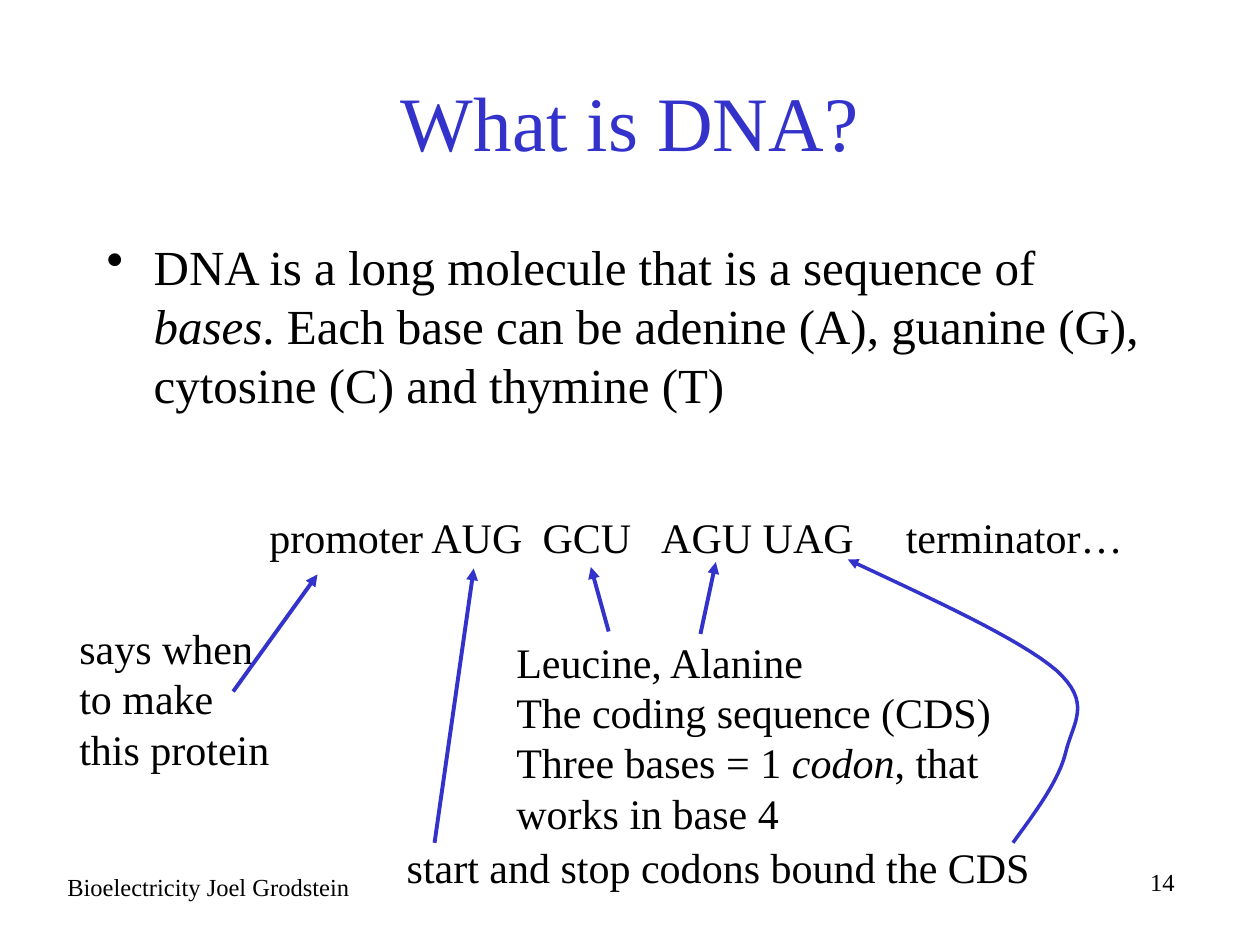
from dataclasses import dataclass

from lxml import etree
from pptx import Presentation
from pptx.dml.color import RGBColor
from pptx.enum.shapes import MSO_CONNECTOR
from pptx.enum.text import MSO_ANCHOR, PP_ALIGN
from pptx.oxml.ns import qn
from pptx.util import Cm, Pt

LEFT, CENTER, RIGHT = PP_ALIGN.LEFT, PP_ALIGN.CENTER, PP_ALIGN.RIGHT
TOP, MIDDLE = MSO_ANCHOR.TOP, MSO_ANCHOR.MIDDLE
STRAIGHT = MSO_CONNECTOR.STRAIGHT


@dataclass(frozen=True)
class Theme:
    font: str = "Times New Roman"
    ink: RGBColor = RGBColor(0, 0, 0)
    accent: RGBColor = RGBColor(0x33, 0x33, 0xCC)
    title: int = 44
    body: int = 28
    label: int = 24
    footer: int = 14


theme = Theme()


def write(shape, *paragraphs, box, size=theme.label, color=theme.ink, align=LEFT, anchor=TOP):
    """Place a text shape and fill it; text between asterisks is italic."""
    shape.left, shape.top, shape.width, shape.height = (Cm(v) for v in box)
    frame = shape.text_frame
    frame.word_wrap = True
    frame.vertical_anchor = anchor
    for i, text in enumerate(paragraphs):
        paragraph = frame.add_paragraph() if i else frame.paragraphs[0]
        paragraph.alignment = align
        for j, part in enumerate(text.split("*")):
            run = paragraph.add_run()
            run.text = part
            run.font.name, run.font.size = theme.font, Pt(size)
            run.font.color.rgb = color
            run.font.italic = j % 2 == 1
    return frame.paragraphs[0]


def style_arrow(arrow, width):
    arrow.line.color.rgb = theme.accent
    arrow.line.width = Pt(width)
    etree.SubElement(arrow.line._get_or_add_ln(), qn("a:tailEnd"), type="triangle")
    etree.SubElement(arrow._element.spPr, qn("a:effectLst"))


prs = Presentation()
prs.slide_width, prs.slide_height = Cm(25.4), Cm(19.05)
slide = prs.slides.add_slide(prs.slide_layouts[5])
shapes = slide.shapes

# Title
write(shapes.title, "What is DNA?", box=(1.9, 0.84, 21.6, 3.18),
      size=theme.title, color=theme.accent, align=CENTER, anchor=MIDDLE)

# Bulleted definition
definition = write(
    shapes.add_textbox(0, 0, 0, 0),
    "DNA is a long molecule that is a sequence of *bases*. Each base can be "
    "adenine (A), guanine (G), cytosine (C) and thymine (T)",
    box=(1.9, 4.65, 21.6, 4.29), size=theme.body)
definition.space_before = Pt(theme.body * 0.2)
definition_format = definition._p.get_or_add_pPr()
definition_format.set("marL", str(Cm(0.95)))
definition_format.set("indent", str(-Cm(0.95)))
etree.SubElement(definition_format, qn("a:buChar"), char="\u2022")

# Gene sequence, spaced with tab stops
sequence = write(shapes.add_textbox(0, 0, 0, 0),
                 "promoter AUG\tGCU\tAGU UAG\tterminator…", box=(5.18, 10.19, 19.56, 1.27))
tab_stops = etree.SubElement(sequence._p.get_or_add_pPr(), qn("a:tabLst"))
for position in (5.51, 7.9, 12.83):
    etree.SubElement(tab_stops, qn("a:tab"), pos=str(Cm(position)), algn="l")

# Explanations and footer
captions = [
    (["says when to make this protein"], (1.35, 12.42, 4.57, 3.33), theme.label, LEFT),
    (["Leucine, Alanine", "The coding sequence (CDS)",
      "Three bases = 1 *codon*, that works in base 4"],
     (10.16, 12.7, 11.38, 4.37), theme.label, LEFT),
    (["start and stop codons bound the CDS"], (7.95, 16.84, 14.48, 1.27), theme.label, LEFT),
    (["Bioelectricity Joel Grodstein"], (0.18, 17.45, 8.05, 1.27), theme.footer, CENTER),
    (["14"], (15.88, 17.35, 8.05, 1.27), theme.footer, RIGHT),
]
for paragraphs, box, size, align in captions:
    write(shapes.add_textbox(0, 0, 0, 0), *paragraphs, box=box, size=size, align=align)

# Straight arrows from explanations to the sequence
pointers = [
    (4.7, 13.94, 6.4, 11.58),    # promoter
    (8.76, 16.99, 9.55, 11.46),  # start codon
    (12.27, 12.73, 11.91, 11.43),
    (14.12, 12.78, 14.43, 11.33),
]
for pointer in pointers:
    style_arrow(shapes.add_connector(STRAIGHT, *(Cm(v) for v in pointer)), 2.25)

# Curved arrow to the stop codon, traced along three Bezier segments
curve = [(20.42, 16.99), (20.88, 16.36), (21.36, 15.72), (21.49, 15.14),
         (21.64, 14.55), (22.02, 14.17), (21.29, 13.51),
         (20.55, 12.88), (18.82, 12.09), (17.09, 11.28)]
STEPS = 16
trace = []
for start in range(0, len(curve) - 1, 3):
    for step in range(1, STEPS + 1):
        t = step / STEPS
        weights = ((1 - t) ** 3, 3 * t * (1 - t) ** 2, 3 * t * t * (1 - t), t ** 3)
        trace.append(tuple(
            Cm(sum(w * point[axis] for w, point in zip(weights, curve[start:start + 4])))
            for axis in (0, 1)))
builder = shapes.build_freeform(Cm(curve[0][0]), Cm(curve[0][1]))
builder.add_line_segments(trace, close=False)
stop_arrow = builder.convert_to_shape()
stop_arrow.fill.background()
style_arrow(stop_arrow, 2)

prs.save("out.pptx")
